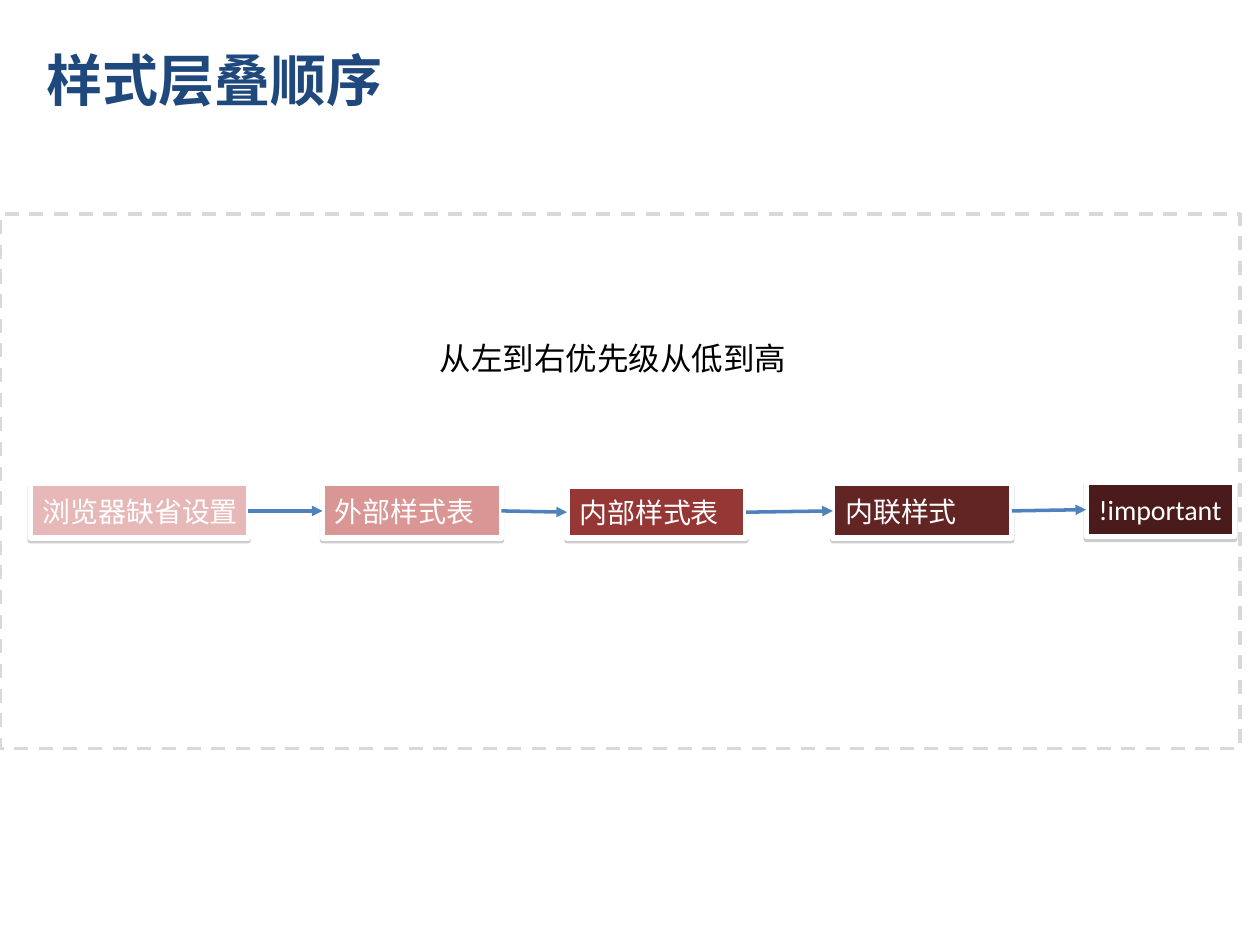
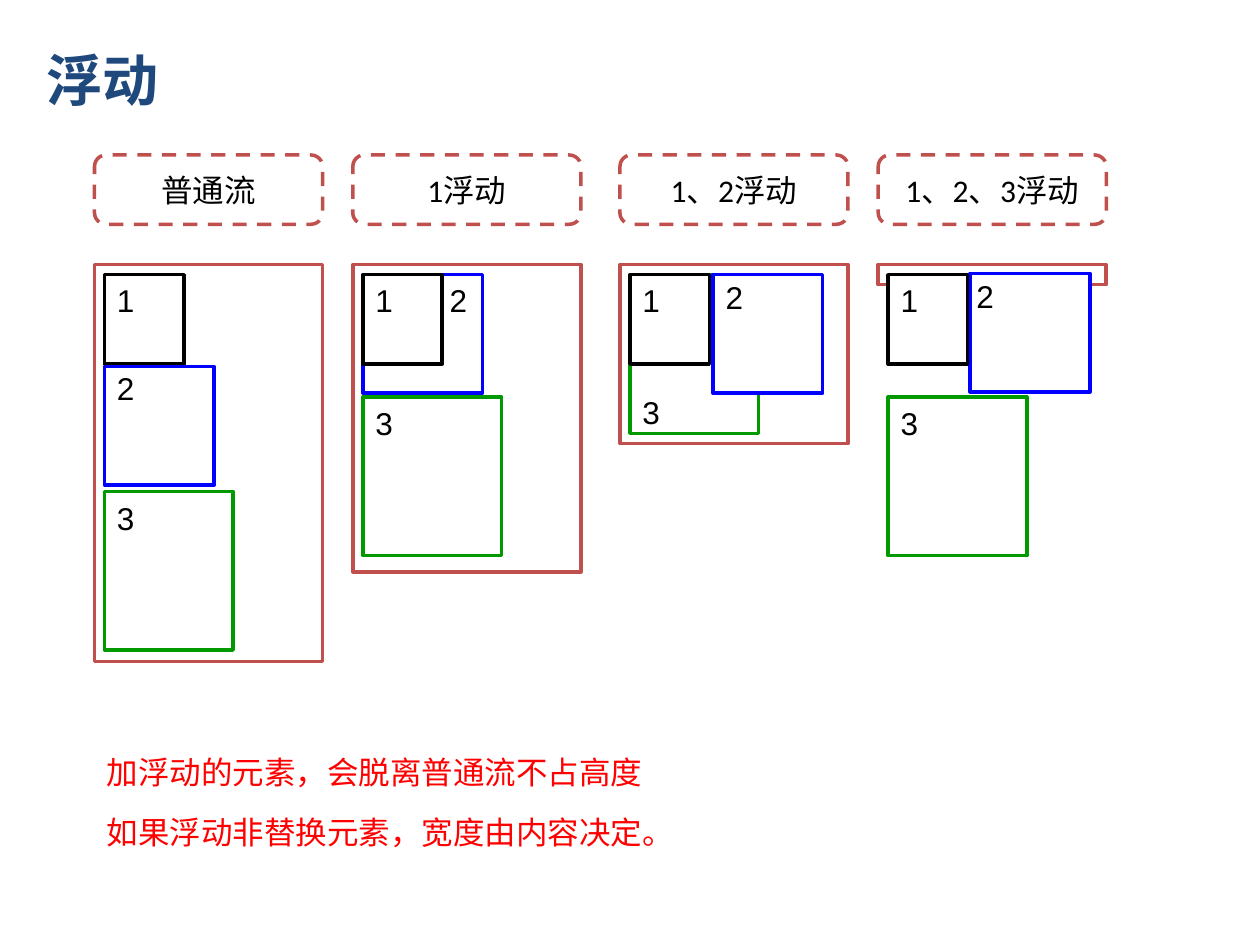
import dataclasses
import itertools
import typing

import lxml.etree
import pptx
import pptx.dml.color
import pptx.enum.dml
import pptx.enum.shapes
import pptx.enum.text
import pptx.oxml.ns
import pptx.util

Inches = pptx.util.Inches
Shapes = pptx.enum.shapes.MSO_SHAPE
Align = pptx.enum.text.PP_ALIGN
Anchor = pptx.enum.text.MSO_ANCHOR
qn = pptx.oxml.ns.qn


@dataclasses.dataclass(frozen=True)
class Theme:
    font: str = "Calibri"
    digit_font: str = "Arial"
    title_size: int = 32
    body_size: int = 18
    stage_size: int = 16
    line_width: int = 2
    stage_line_width: int = 3
    title: str = "1F497D"
    white: str = "FFFFFF"
    black: str = "000000"
    band: str = "D9D9D9"
    arrow: str = "4F81BD"
    frame: str = "C0504D"
    note: str = "FF0000"
    shadow: str = "808080"


THEME = Theme()
BLOCK_COLORS = {"1": THEME.black, "2": "0000FF", "3": "009900"}


class Box(typing.NamedTuple):
    left: float
    top: float
    width: float
    height: float


@dataclasses.dataclass(frozen=True)
class Stage:
    text: str
    fill: str
    box: Box


@dataclasses.dataclass(frozen=True)
class Block:
    digit: str
    box: Box
    digit_left: float
    digit_top: float


@dataclasses.dataclass(frozen=True)
class Column:
    label: str
    left: float
    frame_height: float
    blocks: tuple[Block, ...]


STAGES = (
    Stage("浏览器缺省设置", "E6B9B8", Box(0.24, 3.84, 1.73, 0.43)),
    Stage("外部样式表", "D99694", Box(2.56, 3.84, 1.42, 0.43)),
    Stage("内部样式表", "953735", Box(4.5, 3.86, 1.42, 0.41)),
    Stage("内联样式", "632523", Box(6.61, 3.84, 1.42, 0.43)),
    Stage("!important", "4A1B1A", Box(8.62, 3.83, 1.18, 0.43)),
)

FIRST = Block("1", Box(0.08, 2.18, 0.63, 0.71), 0.08, 2.18)
LAST = Block("3", Box(0.08, 3.15, 1.1, 1.26), 0.08, 3.16)
COLUMNS = (
    Column("普通流", 0.75, 3.15, (
        FIRST,
        Block("2", Box(0.08, 2.91, 0.87, 0.94), 0.08, 2.88),
        Block("3", Box(0.08, 3.9, 1.02, 1.26), 0.08, 3.91),
    )),
    Column("1浮动", 2.8, 2.44, (
        Block("2", Box(0.08, 2.18, 0.95, 0.94), 0.67, 2.18),
        FIRST,
        LAST,
    )),
    Column("1、2浮动", 4.92, 1.42, (
        Block("3", Box(0.08, 2.18, 1.02, 1.26), 0.08, 3.07),
        FIRST,
        Block("2", Box(0.74, 2.18, 0.87, 0.94), 0.74, 2.16),
    )),
    Column("1、2、3浮动", 6.97, 0.16, (
        Block("2", Box(0.73, 2.17, 0.95, 0.94), 0.68, 2.15),
        FIRST,
        LAST,
    )),
)
COLUMN_WIDTH = 1.81

NOTES = (
    "加浮动的元素，会脱离普通流不占高度",
    "如果浮动非替换元素，宽度由内容决定。",
)


def rgb(color: str) -> pptx.dml.color.RGBColor:
    return pptx.dml.color.RGBColor.from_string(color)


def emu(box: Box) -> list[int]:
    return [Inches(value) for value in box]


def write(tf, text: str, size: int, color: str, font: str = THEME.font,
          bold: bool = False, align=Align.LEFT, anchor=Anchor.MIDDLE,
          wrap: bool = True) -> None:
    tf.word_wrap = wrap
    tf.auto_size = pptx.enum.text.MSO_AUTO_SIZE.NONE
    tf.vertical_anchor = anchor
    p = tf.paragraphs[0]
    p.alignment = align
    r = p.add_run()
    r.text = text
    r.font.name = font
    r.font.size = pptx.util.Pt(size)
    r.font.bold = bold
    r.font.color.rgb = rgb(color)


def add_text(s, box: Box, text: str, color: str = THEME.black, **options) -> None:
    tf = s.shapes.add_textbox(*emu(box)).text_frame
    write(tf, text, THEME.body_size, color, **options)


def add_box(s, box: Box, line: str, fill: str = THEME.white, kind=Shapes.RECTANGLE,
            width: int = THEME.line_width, dashed: bool = False):
    sp = s.shapes.add_shape(kind, *emu(box))
    sp.shadow.inherit = False
    sp.fill.solid()
    sp.fill.fore_color.rgb = rgb(fill)
    sp.line.color.rgb = rgb(line)
    sp.line.width = pptx.util.Pt(width)
    if dashed:
        sp.line.dash_style = pptx.enum.dml.MSO_LINE.DASH
    return sp


def add_stage(s, stage: Stage) -> None:
    sp = add_box(s, stage.box, THEME.white, stage.fill, width=THEME.stage_line_width)
    effects = sp.element.spPr.find(qn("a:effectLst"))
    shadow = lxml.etree.SubElement(effects, qn("a:outerShdw"), blurRad="0",
                                   dist=str(pptx.util.Pt(1.6)), dir="5400000",
                                   rotWithShape="0")
    tint = lxml.etree.SubElement(shadow, qn("a:srgbClr"), val=THEME.shadow)
    lxml.etree.SubElement(tint, qn("a:alpha"), val="38000")
    sp.text_frame.margin_right = 0
    write(sp.text_frame, stage.text, THEME.stage_size, THEME.white)


def add_arrow(s, start: Box, end: Box) -> None:
    line = s.shapes.add_connector(
        pptx.enum.shapes.MSO_CONNECTOR.STRAIGHT,
        Inches(start.left + start.width), Inches(start.top + start.height / 2),
        Inches(end.left), Inches(end.top + end.height / 2))
    line.line.color.rgb = rgb(THEME.arrow)
    line.line.width = pptx.util.Pt(THEME.line_width)
    spPr = line.element.spPr
    lxml.etree.SubElement(spPr.find(qn("a:ln")), qn("a:tailEnd"), type="triangle")
    lxml.etree.SubElement(spPr, qn("a:effectLst"))


def add_column(s, column: Column) -> None:
    label = add_box(s, Box(column.left, 1.23, COLUMN_WIDTH, 0.55), THEME.frame,
                    kind=Shapes.ROUNDED_RECTANGLE, dashed=True)
    write(label.text_frame, column.label, THEME.body_size, THEME.black,
          align=Align.CENTER)
    add_box(s, Box(column.left, 2.1, COLUMN_WIDTH, column.frame_height), THEME.frame)
    for block in column.blocks:
        box = block.box._replace(left=column.left + block.box.left)
        add_box(s, box, BLOCK_COLORS[block.digit])
    for block in column.blocks:
        box = Box(column.left + block.digit_left, block.digit_top, 0.71, 0.4)
        add_text(s, box, block.digit, font=THEME.digit_font, anchor=Anchor.TOP)


def add_slide(prs, title: str):
    s = prs.slides.add_slide(prs.slide_layouts[5])
    sp = s.shapes.title
    sp.left, sp.top, sp.width, sp.height = emu(Box(0.27, 0.23, 7.87, 0.79))
    write(sp.text_frame, title, THEME.title_size, THEME.title, bold=True)
    return s


def build_cascade(prs) -> None:
    s = add_slide(prs, "样式层叠顺序")
    add_box(s, Box(0, 1.7, 9.84, 4.24), THEME.band, dashed=True)
    add_text(s, Box(3.39, 2.64, 2.95, 0.4), "从左到右优先级从低到高",
             anchor=Anchor.TOP, wrap=False)
    for stage in STAGES:
        add_stage(s, stage)
    for start, end in itertools.pairwise(STAGES):
        add_arrow(s, start.box, end.box)


def build_float(prs) -> None:
    s = add_slide(prs, "浮动")
    for column in COLUMNS:
        add_column(s, column)
    for i, note in enumerate(NOTES):
        add_text(s, Box(0.75, 5.89 + 0.48 * i, 5.91, 0.47), note, THEME.note)


def main() -> None:
    prs = pptx.Presentation()
    prs.slide_width = Inches(10)
    prs.slide_height = Inches(7.5)
    build_cascade(prs)
    build_float(prs)
    prs.save("out.pptx")


if __name__ == "__main__":
    main()
